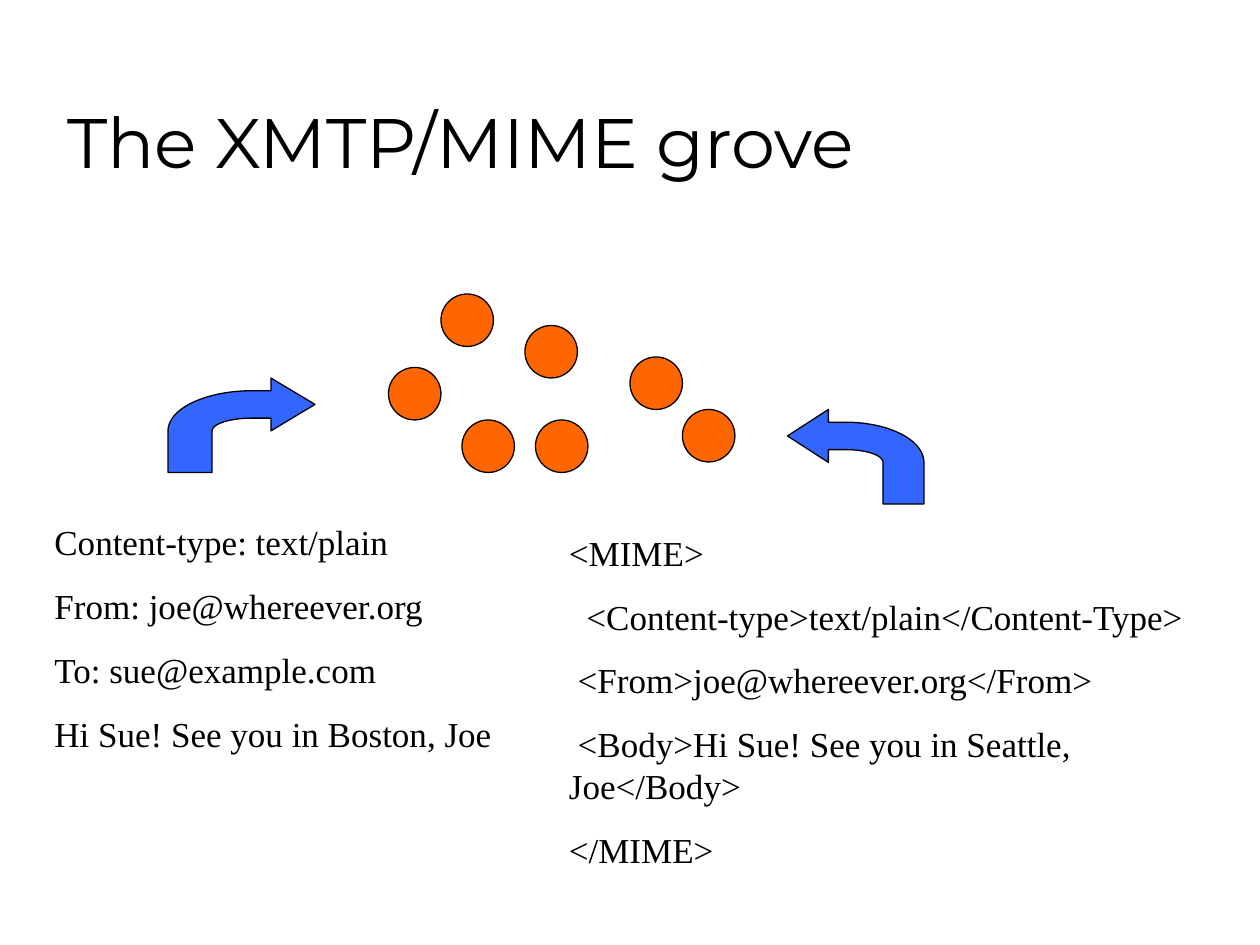
from math import cos, pi, sin

from pptx import Presentation
from pptx.dml.color import RGBColor
from pptx.enum.shapes import MSO_SHAPE
from pptx.enum.text import MSO_ANCHOR
from pptx.util import Inches, Pt

COLORS = {"text": "000000", "outline": "000000", "node": "FF6600",
          "arrow": "3366FF", "page": "FFFFFF"}
COLUMNS, ROWS = 120, 90
CELL = Inches(10) // COLUMNS
NODE_SIZE = 5
NODES = [(42, 28), (50, 31), (37, 35), (51, 40), (44, 40), (60, 34), (65, 39)]
MAIL_LINES = [
    "Content-type: text/plain",
    "From: joe@whereever.org",
    "To: sue@example.com",
    "Hi Sue! See you in Boston, Joe",
]
XML_LINES = [
    "<MIME>",
    "  <Content-type>text/plain</Content-Type>",
    " <From>joe@whereever.org</From>",
    " <Body>Hi Sue! See you in Seattle, Joe</Body>",
    "</MIME>",
]


def color(name):
    """Return a named colour."""
    return RGBColor.from_string(COLORS[name])


def add_text(page, box, lines, font, size, space=0, anchor=MSO_ANCHOR.TOP):
    """Place lines of text in a box given in grid cells."""
    frame = page.shapes.add_textbox(*(round(n * CELL) for n in box)).text_frame
    frame.word_wrap = True
    frame.vertical_anchor = anchor
    frame.text = "\n".join(lines)
    for index, para in enumerate(frame.paragraphs):
        if index:
            para.space_before = Pt(space)
        for span in para.runs:
            span.font.name = font
            span.font.size = Pt(size)
            span.font.color.rgb = color("text")


def paint(shape, fill):
    """Give a shape its fill and thin outline."""
    shape.shadow.inherit = False
    shape.fill.solid()
    shape.fill.fore_color.rgb = color(fill)
    shape.line.color.rgb = color("outline")
    shape.line.width = Pt(0.75)


def add_nodes(page, positions):
    """Scatter the grove's round nodes over the grid."""
    for column, row in positions:
        node = page.shapes.add_shape(MSO_SHAPE.OVAL, column * CELL, row * CELL,
                                     NODE_SIZE * CELL, NODE_SIZE * CELL)
        paint(node, "node")


def quarter_arc(center, radii, steps=24):
    """Return points from the left end to the top of an ellipse."""
    angles = [pi / 2 * step / steps for step in range(steps + 1)]
    return [(center[0] - radii[0] * cos(angle), center[1] - radii[1] * sin(angle))
            for angle in angles]


def add_bent_arrow(page, box, mirrored=False):
    """Draw an arrow that rises and bends sideways within a box."""
    left, top, width, height = box
    center = (0.57, 0.56)
    outer = quarter_arc(center, (0.57, 0.425))
    inner = quarter_arc(center, (0.27, 0.135))
    head = [(0.7, 0.135), (0.7, 0), (1, 0.28), (0.7, 0.56), (0.7, 0.425)]
    outline = [(0, 1)] + outer + head + inner[::-1] + [(0.3, 1)]
    points = [(round((left + width * (1 - x if mirrored else x)) * CELL),
               round((top + height * y) * CELL)) for x, y in outline]
    builder = page.shapes.build_freeform(*points[0])
    builder.add_line_segments(points[1:], close=True)
    paint(builder.convert_to_shape(), "arrow")


def main():
    """Build and save the slide."""
    deck = Presentation()
    deck.slide_width, deck.slide_height = COLUMNS * CELL, ROWS * CELL
    page = deck.slides.add_slide(deck.slide_layouts[6])
    page.background.fill.solid()
    page.background.fill.fore_color.rgb = color("page")
    add_text(page, (5.25, 3, 102, 15), ["The XMTP/MIME grove"], "Montserrat", 40,
             anchor=MSO_ANCHOR.BOTTOM)
    add_text(page, (4, 49, 48, 23.5), MAIL_LINES, "Times New Roman", 20, 12.5)
    add_text(page, (53, 50, 62, 33.6), XML_LINES, "Times New Roman", 20, 12.5)
    add_nodes(page, NODES)
    add_bent_arrow(page, (16, 36, 14, 9))
    add_bent_arrow(page, (75, 39, 13, 9), mirrored=True)
    deck.save("out.pptx")


if __name__ == "__main__":
    main()
